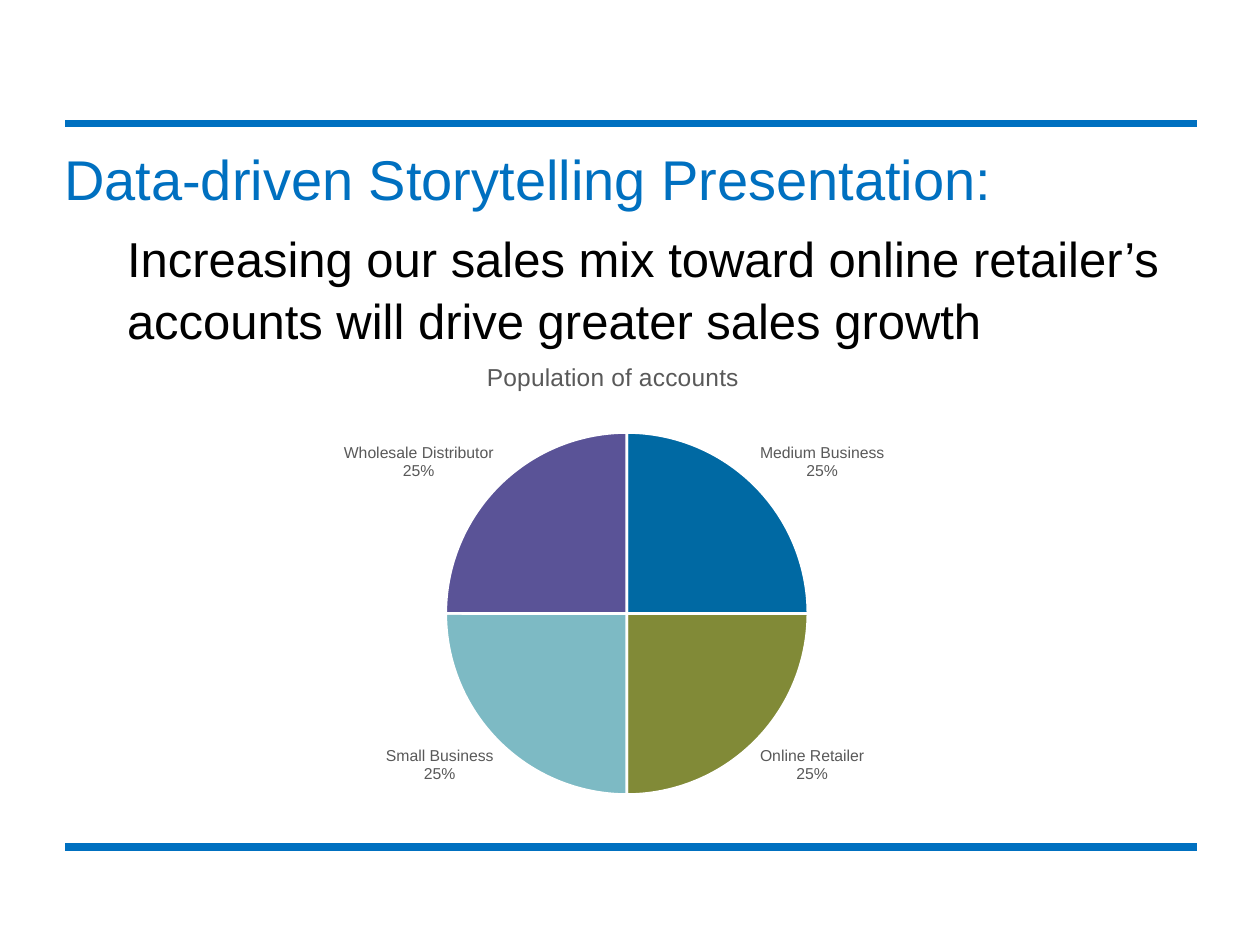
from lxml import etree
from pptx import Presentation
from pptx.chart.data import CategoryChartData
from pptx.dml.color import RGBColor
from pptx.enum import chart as ch, shapes, text
from pptx.oxml import parse_xml
from pptx.oxml.ns import nsdecls, qn
from pptx.util import Inches, Pt


def paint(target, color):
    if hasattr(target, "solid"):
        target.solid()
        target.fore_color.rgb = RGBColor.from_string(color)
    else:
        target.color.rgb = RGBColor.from_string(color)


def style(font, size, color):
    font.name = "Arial"
    font.size = Pt(size)
    font.bold = False
    paint(font, color)


deck = Presentation()
deck.slide_width, deck.slide_height = Inches(10), Inches(7.5)
slide = deck.slides.add_slide(deck.slide_layouts[6])

for y in (0.98, 6.72):
    rule = slide.shapes.add_connector(
        shapes.MSO_CONNECTOR.STRAIGHT, Inches(0.52), Inches(y), Inches(9.5), Inches(y))
    paint(rule.line, "0070C0")
    rule.line.width = Pt(4.5)
    etree.SubElement(rule._element.spPr, qn("a:effectLst"))

accounts = CategoryChartData()
accounts.categories = ["Medium Business", "Online Retailer", "Small Business", "Wholesale Distributor"]
accounts.add_series("Series 1", [25] * 4)
population = slide.shapes.add_chart(
    ch.XL_CHART_TYPE.PIE, Inches(1.18), Inches(2.7), Inches(7.37), Inches(3.91), accounts).chart
style(population.font, 10, "000000")
population.has_legend = False
population.has_title = True
caption = population.chart_title.text_frame.paragraphs[0].add_run()
caption.text = "Population of accounts"
style(caption.font, 14, "595959")

pie = population.plots[0]
pie.vary_by_categories = True
for index, color in enumerate(["0069A3", "818A37", "7DBAC4", "5A5397"]):
    slice_format = pie.series[0].points[index].format
    paint(slice_format.fill, color)
    paint(slice_format.line, "FFFFFF")
    slice_format.line.width = Pt(1.5)

labels = pie.series[0].data_labels
labels.show_category_name = True
labels.show_percentage = True
labels.show_value = False
labels.position = ch.XL_LABEL_POSITION.OUTSIDE_END
style(labels.font, 9, "595959")
separator = parse_xml(f"<c:separator {nsdecls('c')}>\n</c:separator>")
labels._element.find(qn("c:showBubbleSize")).addnext(separator)

plot_area = population._chartSpace.chart.plotArea
for old_layout in plot_area.findall(qn("c:layout")):
    plot_area.remove(old_layout)
plot_area.insert(0, parse_xml(
    f"<c:layout {nsdecls('c')}><c:manualLayout>"
    '<c:layoutTarget val="inner"/><c:xMode val="edge"/><c:yMode val="edge"/>'
    '<c:x val="0.32"/><c:y val="0.18"/><c:w val="0.39"/><c:h val="0.75"/>'
    "</c:manualLayout></c:layout>"))

for left, top, height, wording, size, color, spacing in [
    (0.41, 1.1, 0.64, "Data-driven Storytelling Presentation:", 32, "0070C0", 1),
    (0.91, 1.74, 1.04, "Increasing our sales mix toward online retailer’s accounts "
     "will drive greater sales growth", 28, "000000", 1.05),
]:
    frame = slide.shapes.add_textbox(
        Inches(left), Inches(top), Inches(8.59), Inches(height)).text_frame
    frame.word_wrap = True
    frame.auto_size = text.MSO_AUTO_SIZE.SHAPE_TO_FIT_TEXT
    frame.paragraphs[0].line_spacing = spacing
    message = frame.paragraphs[0].add_run()
    message.text = wording
    style(message.font, size, color)

deck.save("out.pptx")
